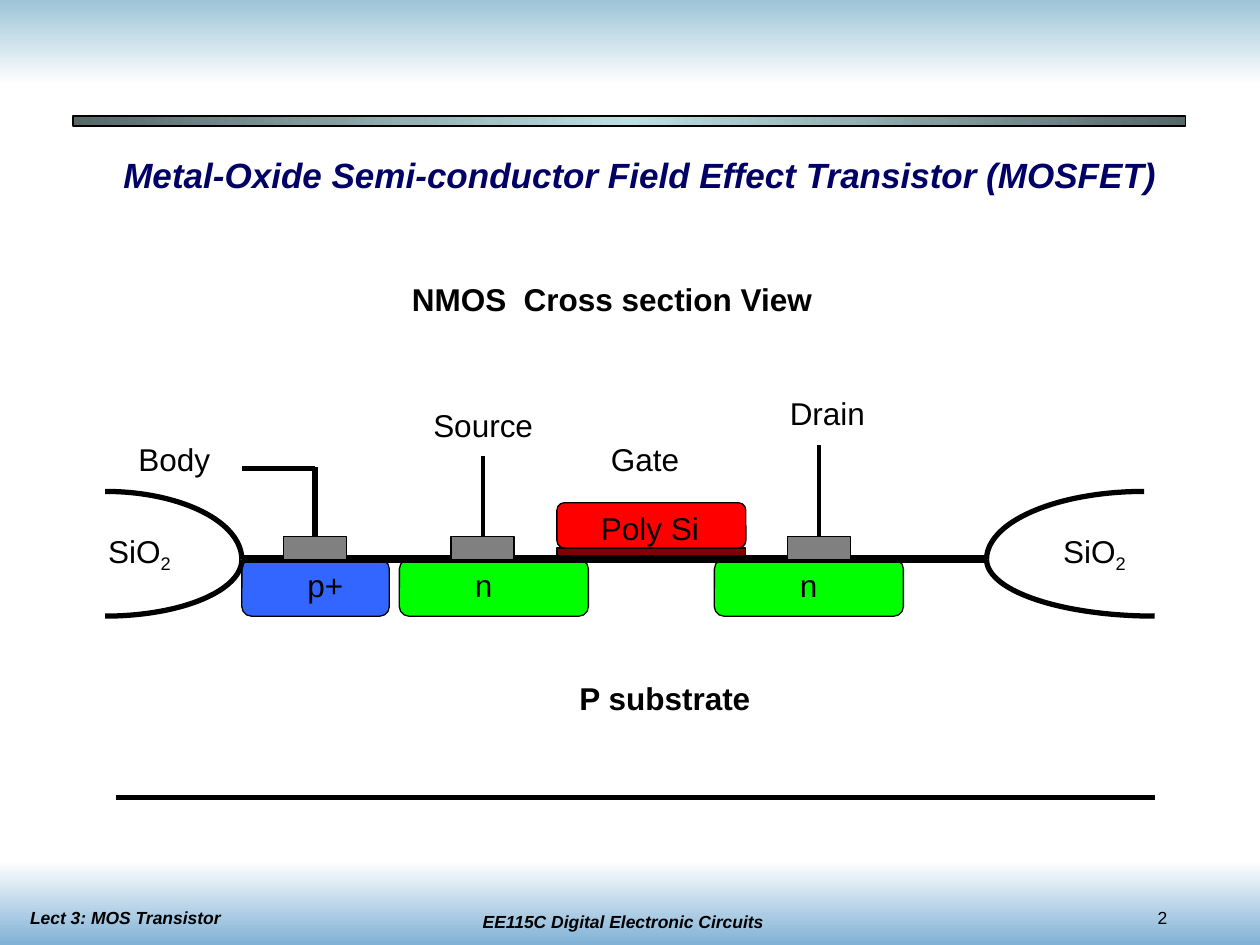
"""Build the NMOS cross section slide."""
from copy import deepcopy

from lxml import etree
from pptx import Presentation
from pptx.dml.color import RGBColor
from pptx.enum.shapes import MSO_CONNECTOR, MSO_SHAPE
from pptx.enum.text import MSO_ANCHOR, PP_ALIGN
from pptx.oxml.ns import qn
from pptx.util import Inches, Pt

RECT, ROUND, ARC = MSO_SHAPE.RECTANGLE, MSO_SHAPE.ROUNDED_RECTANGLE, MSO_SHAPE.ARC
STRAIGHT = MSO_CONNECTOR.STRAIGHT
LEFT, CENTER = PP_ALIGN.LEFT, PP_ALIGN.CENTER
TOP, MIDDLE = MSO_ANCHOR.TOP, MSO_ANCHOR.MIDDLE

FONT = "Arial"
COLORS = {
    "black": "000000", "white": "FFFFFF", "title": "000066",
    "sky": "9DC4D7", "sea": "80B1D6", "slate": "566768", "ice": "BBE0E3",
    "n": "00FF00", "p": "3366FF", "oxide": "800000", "poly": "FF0000", "metal": "808080",
}

SURFACE = 4.44
REGION_HEIGHT = 0.45
CONTACT_WIDTH, CONTACT_HEIGHT = 0.5, 0.18
CONTACT_TOP = SURFACE - CONTACT_HEIGHT
FIELD_LEFT, FIELD_RIGHT = 1.92, 7.83
BODY_X, SOURCE_X, DRAIN_X = 2.5, 3.83, 6.5
BODY_WIRE_Y = 3.72

BANDS = [
    ((0, 0, 10, 0.67), ["sky", "white"], 270, False),
    ((0, 6.83, 10, 0.67), ["white", "sea"], 270, False),
    ((0.58, 0.92, 8.83, 0.08), ["slate", "ice", "slate"], 180, True),
]
FOOTERS = [
    ("EE115C Digital Electronic Circuits", (3.53, 7.18, 2.83, 0.27), CENTER, True),
    ("2", (9.09, 7.15, 0.83, 0.27), LEFT, False),
    ("Lect 3: MOS Transistor", (0.14, 7.15, 2.83, 0.27), LEFT, True),
]
REGIONS = [
    (ROUND, (3.17, SURFACE, 1.5, REGION_HEIGHT), "n"),
    (ROUND, (5.67, SURFACE, 1.5, REGION_HEIGHT), "n"),
    (RECT, (4.42, 4.35, 1.5, 0.09), "oxide"),
    (ROUND, (4.42, 3.99, 1.5, 0.36), "poly"),
    (ROUND, (FIELD_LEFT, SURFACE, 1.17, REGION_HEIGHT), "p"),
]
WIRES = [
    ((BODY_X, CONTACT_TOP), (BODY_X, BODY_WIRE_Y - 0.01), 3),
    ((BODY_X, BODY_WIRE_Y), (FIELD_LEFT, BODY_WIRE_Y), 3),
    ((SOURCE_X, CONTACT_TOP), (SOURCE_X, 3.62), 2.25),
    ((DRAIN_X, CONTACT_TOP), (DRAIN_X, 3.53), 2.25),
    ((0.92, 6.33), (9.17, 6.33), 3),
]
OXIDE_ARCS = [
    (FIELD_LEFT - 2.17, 2.17, 1.08, 270),
    (FIELD_LEFT - 2.17, 2.17, 0.9, 0),
    (FIELD_RIGHT, 2.67, 0.9, 90),
    (FIELD_RIGHT, 2.5, 1.08, 180),
]
LABELS = [
    ("n", 3.67, SURFACE, 0.37), ("n", 6.25, SURFACE, 0.37), ("p+", 2.34, SURFACE, 0.52),
    ("Source", 3.34, 3.17, 1.02), ("Drain", 6.17, 3.08, 0.83),
    ("Body", 1, 3.44, 0.8), ("Gate", 4.75, 3.44, 0.77), ("Poly Si", 4.67, 3.99, 1.01),
]
BOLD_LABELS = [("NMOS  Cross section View", 3.17, 2.17, 3.41), ("P substrate", 4.5, 5.34, 1.59)]
OXIDE_LABELS = [(8.34, 4.17), (0.76, 4.17)]


def rgb(name):
    return RGBColor.from_string(COLORS[name])


def add_text(slide, text, box, *, size=18, color="black", bold=False, italic=False,
             align=LEFT, anchor=TOP, subscript=""):
    frame = slide.shapes.add_textbox(*map(Inches, box)).text_frame
    frame.word_wrap = True
    frame.vertical_anchor = anchor
    paragraph = frame.paragraphs[0]
    paragraph.alignment = align
    for part in filter(None, (text, subscript)):
        run = paragraph.add_run()
        run.text = part
        run.font.name, run.font.size = FONT, Pt(size)
        run.font.bold, run.font.italic = bold, italic
        run.font.color.rgb = rgb(color)
    if subscript:
        run._r.get_or_add_rPr().set("baseline", "-25000")


def add_shape(slide, kind, box, fill=None, line_width=0.75):
    shape = slide.shapes.add_shape(kind, *map(Inches, box))
    shape.shadow.inherit = False
    if fill:
        shape.fill.solid()
        shape.fill.fore_color.rgb = rgb(fill)
    else:
        shape.fill.background()
    if line_width:
        shape.line.color.rgb = rgb("black")
        shape.line.width = Pt(line_width)
    else:
        shape.line.fill.background()
    return shape


def add_band(slide, box, colors, angle, outlined):
    shape = add_shape(slide, RECT, box, line_width=0.75 if outlined else 0)
    shape.fill.gradient()
    shape.fill.gradient_angle = angle
    stop_list = shape._element.spPr.find(".//" + qn("a:gsLst"))
    while len(stop_list) < len(colors):
        stop_list.append(deepcopy(stop_list[0]))
    for index, (stop, color) in enumerate(zip(shape.fill.gradient_stops, colors)):
        stop.position = index / (len(colors) - 1)
        stop.color.rgb = rgb(color)


def add_line(slide, start, end, width):
    line = slide.shapes.add_connector(STRAIGHT, *map(Inches, start + end))
    line.line.color.rgb = rgb("black")
    line.line.width = Pt(width)
    etree.SubElement(line._element.spPr, qn("a:effectLst"))


def add_oxide_arc(slide, left, width, height, start):
    arc = add_shape(slide, ARC, (left, SURFACE - height / 2, width, height), line_width=3)
    for index, angle in enumerate((start, (start + 90) % 360)):
        arc.adjustments[index] = angle * 0.6


def main():
    presentation = Presentation()
    presentation.slide_width, presentation.slide_height = Inches(10), Inches(7.5)
    slide = presentation.slides.add_slide(presentation.slide_layouts[6])

    for band in BANDS:
        add_band(slide, *band)
    for text, box, align, strong in FOOTERS:
        add_text(slide, text, box, size=10, bold=strong, italic=strong, align=align)
    add_text(slide, "Metal-Oxide Semi-conductor Field Effect Transistor (MOSFET)",
             (0.83, 0.58, 8.5, 1.61), size=20, color="title", bold=True, italic=True,
             align=CENTER, anchor=MIDDLE)

    for kind, box, fill in REGIONS:
        add_shape(slide, kind, box, fill)
    add_line(slide, (FIELD_LEFT, SURFACE), (FIELD_RIGHT, SURFACE), 4.5)
    for center in (BODY_X, SOURCE_X, DRAIN_X):
        add_shape(slide, RECT, (center - CONTACT_WIDTH / 2, CONTACT_TOP,
                                CONTACT_WIDTH, CONTACT_HEIGHT), "metal")
    for wire in WIRES:
        add_line(slide, *wire)
    for arc in OXIDE_ARCS:
        add_oxide_arc(slide, *arc)

    for labels, bold in ((LABELS, False), (BOLD_LABELS, True)):
        for text, left, top, width in labels:
            add_text(slide, text, (left, top, width, 0.4), bold=bold)
    for left, top in OXIDE_LABELS:
        add_text(slide, "SiO", (left, top, 0.73, 0.44), subscript="2")

    presentation.save("out.pptx")


if __name__ == "__main__":
    main()
